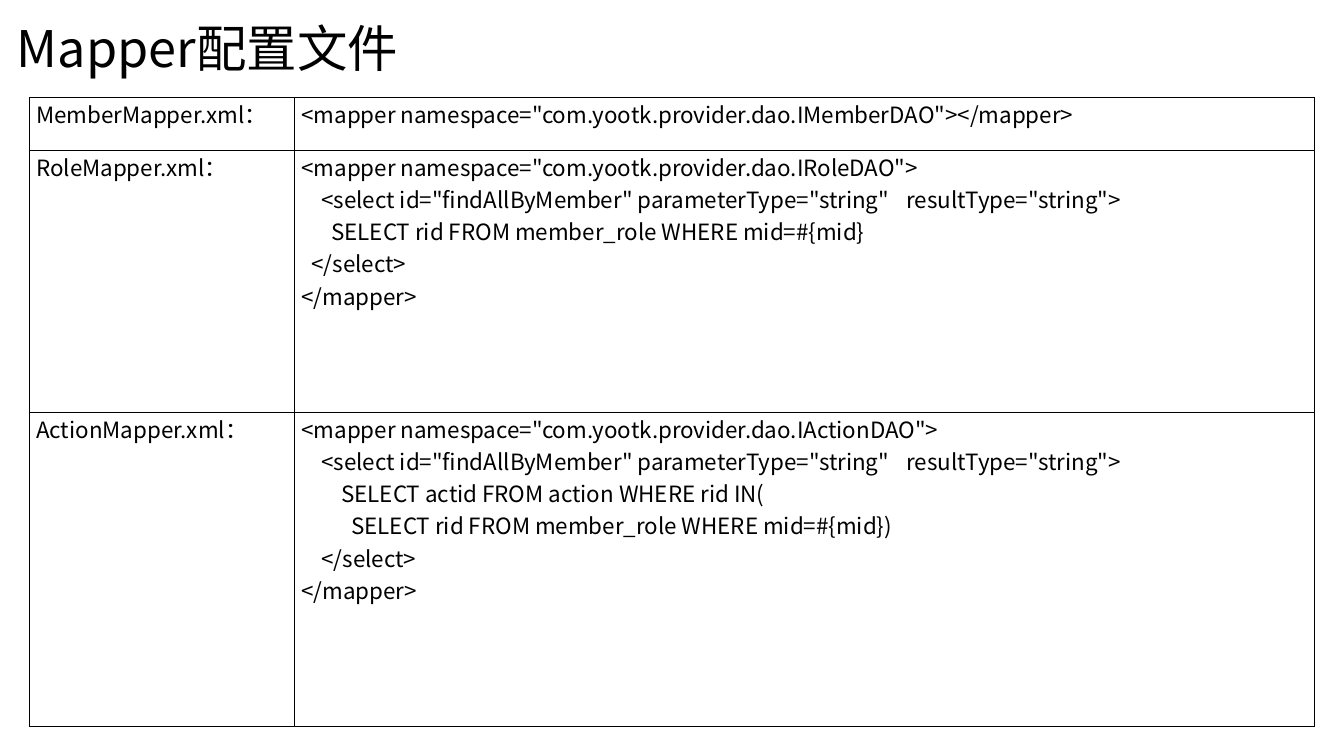
from copy import deepcopy
from dataclasses import dataclass

from lxml import etree
from pptx import Presentation
from pptx.dml.color import RGBColor
from pptx.enum.text import MSO_ANCHOR, PP_ALIGN
from pptx.oxml.ns import qn
from pptx.util import Inches, Pt

TITLE = "Mapper配置文件"

MAPPERS = [
    ("MemberMapper.xml：",
     '<mapper namespace="com.yootk.provider.dao.IMemberDAO"></mapper>'),
    ("RoleMapper.xml：",
     """<mapper namespace="com.yootk.provider.dao.IRoleDAO">
    <select id="findAllByMember" parameterType="string" \tresultType="string">
      SELECT rid FROM member_role WHERE mid=#{mid}
  </select>
</mapper>"""),
    ("ActionMapper.xml：",
     """<mapper namespace="com.yootk.provider.dao.IActionDAO">
    <select id="findAllByMember" parameterType="string" \tresultType="string">
        SELECT actid FROM action WHERE rid IN(
          SELECT rid FROM member_role WHERE mid=#{mid})
    </select>
</mapper>"""),
]

SLIDE = (13.33, 7.5)
TITLE_BOX = (0.07, 0.08, 13.15, 0.85)
TABLE_LEFT, TABLE_TOP = 0.29, 0.97
COLUMNS = (2.63, 10.12)
ROW_UNIT = 0.52
ROW_UNITS = (1, 5, 6)


@dataclass(frozen=True)
class Theme:
    font: str = "Noto Sans CJK SC"
    ink: str = "000000"
    title: int = 36
    body: int = 16
    border: int = 1
    pad: float = 0.07


THEME = Theme()


def write(p, text, size):
    p.text = text
    for r in p.runs:
        r.font.size = Pt(size)
        r.font.name = THEME.font
        r.font.color.rgb = RGBColor.from_string(THEME.ink)
        etree.SubElement(r.font._element, qn("a:ea"), typeface=THEME.font)
    for br in p._p.findall(qn("a:br")):
        br.append(deepcopy(p.runs[0].font._element))


def add_borders(cell):
    tc_pr = cell._tc.get_or_add_tcPr()
    for i, side in enumerate(("lnL", "lnR", "lnT", "lnB")):
        ln = etree.Element(qn(f"a:{side}"), w=str(Pt(THEME.border)))
        fill = etree.SubElement(ln, qn("a:solidFill"))
        etree.SubElement(fill, qn("a:srgbClr"), val=THEME.ink)
        tc_pr.insert(i, ln)


def add_title(slide):
    tf = slide.shapes.add_textbox(*map(Inches, TITLE_BOX)).text_frame
    tf.word_wrap = True
    tf.vertical_anchor = MSO_ANCHOR.MIDDLE
    p = tf.paragraphs[0]
    write(p, TITLE, THEME.title)
    p.line_spacing = 0.9


def add_mappers(slide):
    heights = [ROW_UNIT * n for n in ROW_UNITS]
    box = (TABLE_LEFT, TABLE_TOP, sum(COLUMNS), sum(heights))
    table = slide.shapes.add_table(
        len(MAPPERS), len(COLUMNS), *map(Inches, box)).table
    table.first_row = table.horz_banding = False
    for column, width in zip(table.columns, COLUMNS):
        column.width = Inches(width)
    for row, height, texts in zip(table.rows, heights, MAPPERS):
        row.height = Inches(height)
        for cell, text, align in zip(
                row.cells, texts, (PP_ALIGN.JUSTIFY, PP_ALIGN.LEFT)):
            cell.margin_left = cell.margin_right = Inches(THEME.pad)
            cell.margin_top = cell.margin_bottom = 0
            cell.fill.background()
            add_borders(cell)
            p = cell.text_frame.paragraphs[0]
            write(p, text, THEME.body)
            p.alignment = align


def main():
    prs = Presentation()
    prs.slide_width, prs.slide_height = map(Inches, SLIDE)
    slide = prs.slides.add_slide(prs.slide_layouts[6])
    add_title(slide)
    add_mappers(slide)
    prs.save("out.pptx")


if __name__ == "__main__":
    main()
